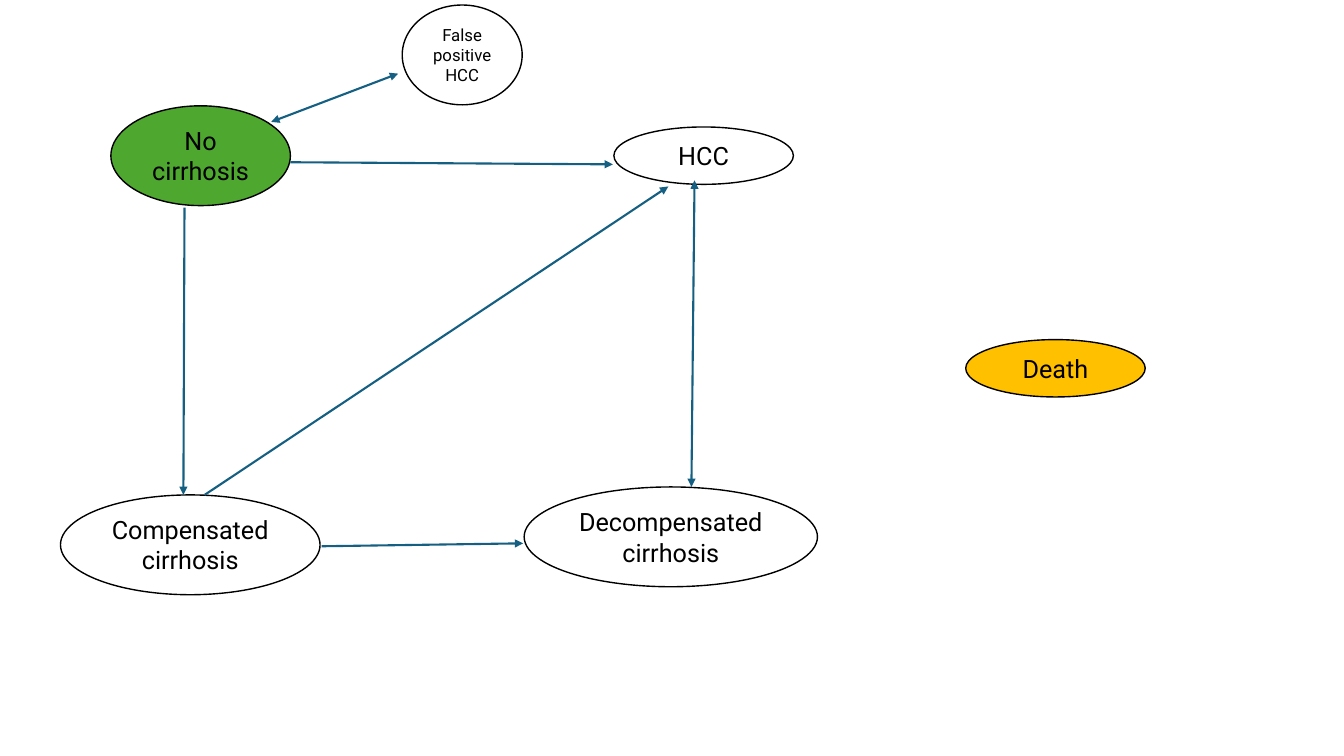
from dataclasses import dataclass

from lxml import etree
from pptx import Presentation
from pptx.dml.color import RGBColor
from pptx.enum.shapes import MSO_CONNECTOR, MSO_SHAPE
from pptx.enum.text import MSO_ANCHOR, MSO_AUTO_SIZE, PP_ALIGN
from pptx.oxml.ns import qn
from pptx.util import Pt

ELLIPSE = MSO_SHAPE.OVAL
STRAIGHT = MSO_CONNECTOR.STRAIGHT
CENTER = PP_ALIGN.CENTER
MIDDLE = MSO_ANCHOR.MIDDLE
FIT_SHAPE = MSO_AUTO_SIZE.SHAPE_TO_FIT_TEXT


@dataclass(frozen=True)
class Theme:
    font: str = "Roboto"
    ink: RGBColor = RGBColor(0x00, 0x00, 0x00)
    arrow: RGBColor = RGBColor(0x15, 0x60, 0x82)
    healthy: RGBColor = RGBColor(0x4E, 0xA7, 0x2E)
    death: RGBColor = RGBColor(0xFF, 0xC0, 0x00)
    state_size: float = 18
    small_size: float = 12
    outline_width: float = 1
    arrow_width: float = 1.5


THEME = Theme()
SLIDE_SIZE = (960, 540)
STATE_WIDTH = 128.2
TALL, FLAT = 71.3, 41

# Label, box (left, top, width, height), fill, text size
STATES = [
    ("Compensated cirrhosis", (43.2, 353.5, 185.4, TALL), None, THEME.state_size),
    ("Decompensated cirrhosis", (374.4, 347.8, 209.5, TALL), None, THEME.state_size),
    ("No cirrhosis", (79.2, 75.6, STATE_WIDTH, TALL), THEME.healthy, THEME.state_size),
    ("HCC", (438.5, 90.7, STATE_WIDTH, FLAT), None, THEME.state_size),
    ("Death", (689.8, 242.6, STATE_WIDTH, FLAT), THEME.death, THEME.state_size),
    ("False positive HCC", (287.3, 3.6, 85.7, TALL), None, THEME.small_size),
]

# Start, end, whether the transition runs both ways
TRANSITIONS = [
    ((131.8, 148.3), (131, 353.5), False),
    ((207.4, 115.9), (437.8, 117.4), False),
    ((146.2, 353.5), (477.4, 133.2), False),
    ((193.7, 87.1), (284.4, 52.6), True),
    ((496.1, 128.9), (493.9, 347.8), True),
    ((229.7, 390.2), (373.7, 388.1), False),
]


def add_state(slide, label, box, fill, size):
    shape = slide.shapes.add_shape(ELLIPSE, *(Pt(length) for length in box))
    shape.shadow.inherit = False
    if fill is None:
        shape.fill.background()
    else:
        shape.fill.solid()
        shape.fill.fore_color.rgb = fill
    shape.line.color.rgb = THEME.ink
    shape.line.width = Pt(THEME.outline_width)

    frame = shape.text_frame
    frame.word_wrap = True
    frame.auto_size = FIT_SHAPE
    frame.vertical_anchor = MIDDLE
    paragraph = frame.paragraphs[0]
    paragraph.alignment = CENTER
    run = paragraph.add_run()
    run.text = label
    run.font.name = THEME.font
    run.font.size = Pt(size)
    run.font.color.rgb = THEME.ink


def add_transition(slide, start, end, both_ways):
    connector = slide.shapes.add_connector(
        STRAIGHT, *(Pt(length) for length in start + end))
    connector.line.color.rgb = THEME.arrow
    connector.line.width = Pt(THEME.arrow_width)
    properties = connector._element.spPr
    line = properties.find(qn("a:ln"))
    for tag in ["a:headEnd", "a:tailEnd"] if both_ways else ["a:tailEnd"]:
        etree.SubElement(line, qn(tag), type="triangle")
    etree.SubElement(properties, qn("a:effectLst"))


def add_state_diagram(slide, left, top):
    """Draw the disease states and transitions, offset from the given corner."""
    for label, (x, y, width, height), fill, size in STATES:
        add_state(slide, label, (left + x, top + y, width, height), fill, size)
    for (x1, y1), (x2, y2), both_ways in TRANSITIONS:
        add_transition(slide, (left + x1, top + y1), (left + x2, top + y2), both_ways)


def main():
    presentation = Presentation()
    presentation.slide_width, presentation.slide_height = map(Pt, SLIDE_SIZE)
    slide = presentation.slides.add_slide(presentation.slide_layouts[6])
    add_state_diagram(slide, 0, 0)
    presentation.save("out.pptx")


if __name__ == "__main__":
    main()
